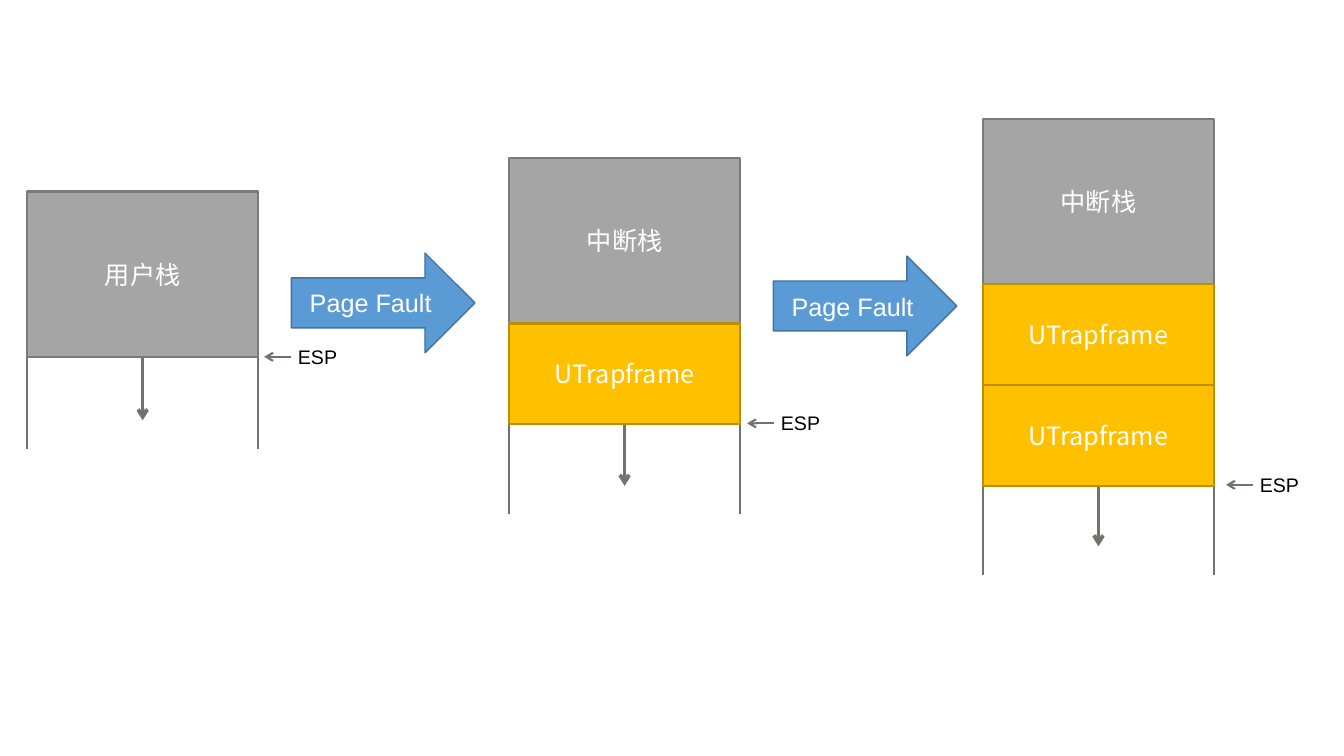
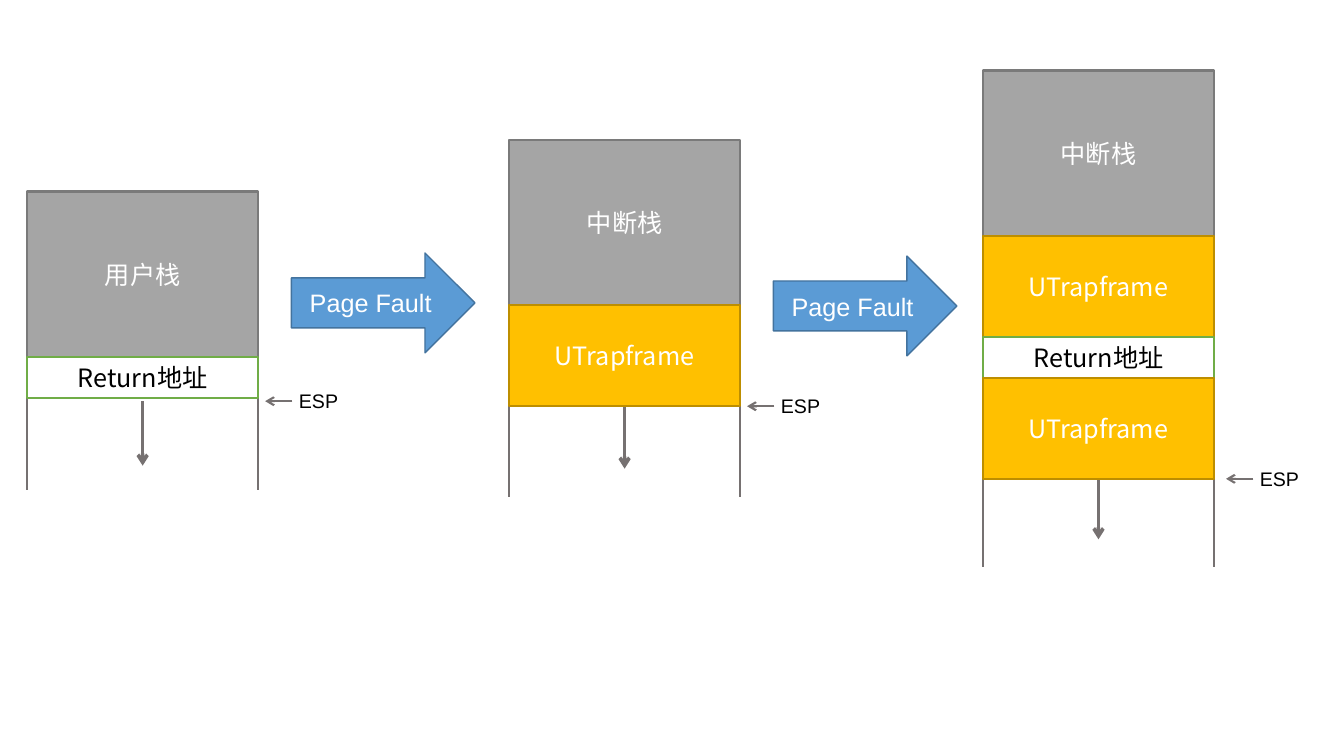
from collections import namedtuple

from lxml import etree
from pptx import Presentation
from pptx.dml.color import RGBColor
from pptx.enum.shapes import MSO_CONNECTOR, MSO_SHAPE
from pptx.enum.text import MSO_ANCHOR, MSO_AUTO_SIZE, PP_ALIGN
from pptx.oxml.ns import qn
from pptx.util import Inches, Pt

WHITE = RGBColor(0xFF, 0xFF, 0xFF)
BLACK = RGBColor(0x00, 0x00, 0x00)
GRAY = RGBColor(0xA5, 0xA5, 0xA5)
GRAY_EDGE = RGBColor(0x7A, 0x7A, 0x7A)
GOLD = RGBColor(0xFF, 0xC0, 0x00)
GOLD_EDGE = RGBColor(0xBD, 0x8E, 0x00)
GREEN_EDGE = RGBColor(0x70, 0xAD, 0x47)
BLUE = RGBColor(0x5B, 0x9B, 0xD5)
BLUE_EDGE = RGBColor(0x43, 0x73, 0x9E)
LINE = RGBColor(0x76, 0x71, 0x71)

CJK = "Noto Sans CJK SC"
LATIN = "Arial"

Block = namedtuple("Block", "text height fill edge color")
Stack = namedtuple("Stack", "left top blocks wall_shift arrow_shift esp_shift esp_gap")

USER = Block("用户栈", 1.64, GRAY, GRAY_EDGE, WHITE)
INTERRUPT = Block("中断栈", 1.64, GRAY, GRAY_EDGE, WHITE)
FRAME = Block("UTrapframe", 1.0, GOLD, GOLD_EDGE, WHITE)
RETURN = Block("Return地址", 0.41, WHITE, GREEN_EDGE, BLACK)

STACK_W = 2.29
WALL_H = 0.92
GROWTH_H = 0.64
ESP_ARROW_W = 0.27
ESP_W, ESP_H = 0.76, 0.34
FAULT_W, FAULT_H = 1.82, 0.99
FAULTS = [(2.89, 2.51), (7.67, 2.54)]

SLIDES = [
    [
        Stack(0.27, 1.9, [USER], -0.01, -0.01, 0, 0.06),
        Stack(5.05, 1.57, [INTERRUPT, FRAME], -0.03, -0.03, -0.01, 0.07),
        Stack(9.75, 1.18, [INTERRUPT, FRAME, FRAME], -0.04, -0.04, -0.01, 0.12),
    ],
    [
        Stack(0.27, 1.9, [USER, RETURN], -0.01, 0.03, 0.03, 0.07),
        Stack(5.05, 1.39, [INTERRUPT, FRAME], -0.02, -0.02, 0, 0.07),
        Stack(9.75, 0.7, [INTERRUPT, FRAME, RETURN, FRAME], -0.04, -0.04, 0, 0.12),
    ],
]


def set_text(s, text, size, font, color):
    tf = s.text_frame
    tf.word_wrap = True
    tf.text = text
    p = tf.paragraphs[0]
    p.alignment = PP_ALIGN.CENTER
    r = p.runs[0]
    r.font.size = Pt(size)
    r.font.name = font
    r.font.color.rgb = color
    etree.SubElement(r.font._element, qn("a:ea")).set("typeface", font)


def add_box(shapes, kind, box, text, font, fill, edge, weight, color):
    s = shapes.add_shape(kind, *map(Inches, box))
    s.shadow.inherit = False
    s.fill.solid()
    s.fill.fore_color.rgb = fill
    s.line.color.rgb = edge
    s.line.width = Pt(weight)
    set_text(s, text, 18, font, color)
    s.text_frame.vertical_anchor = MSO_ANCHOR.MIDDLE


def add_line(shapes, start, end, weight=1.5, arrow=False):
    c = shapes.add_connector(MSO_CONNECTOR.STRAIGHT, *map(Inches, start + end))
    c.line.color.rgb = LINE
    c.line.width = Pt(weight)
    if arrow:
        etree.SubElement(c.line._get_or_add_ln(), qn("a:tailEnd")).set("type", "arrow")
    etree.SubElement(c._element.spPr, qn("a:effectLst"))


def add_esp(shapes, x, y):
    group = shapes.add_group_shape().shapes
    start = x + ESP_ARROW_W
    box = (start - 0.12, y - ESP_H / 2, ESP_W, ESP_H)
    label = group.add_textbox(*map(Inches, box))
    set_text(label, "ESP", 14, LATIN, BLACK)
    label.text_frame.auto_size = MSO_AUTO_SIZE.SHAPE_TO_FIT_TEXT
    add_line(group, (start, y), (x, y), arrow=True)


def add_stack(shapes, stack):
    left, right = stack.left, stack.left + STACK_W
    bottom = stack.top + sum(b.height for b in stack.blocks)

    wall = bottom + stack.wall_shift
    for x in (left, right):
        add_line(shapes, (x, wall), (x, wall + WALL_H))
    center, growth = left + STACK_W / 2, bottom + stack.arrow_shift
    add_line(shapes, (center, growth), (center, growth + GROWTH_H), 2.5, True)

    y = stack.top
    for b in stack.blocks:
        add_box(shapes, MSO_SHAPE.RECTANGLE, (left, y, STACK_W, b.height),
                b.text, CJK, b.fill, b.edge, 1.5, b.color)
        y += b.height
    add_esp(shapes, right + stack.esp_gap, bottom + stack.esp_shift)


def main():
    prs = Presentation()
    prs.slide_width, prs.slide_height = Inches(13.33), Inches(7.5)
    for stacks in SLIDES:
        shapes = prs.slides.add_slide(prs.slide_layouts[6]).shapes
        for stack in stacks:
            add_stack(shapes, stack)
        for x, y in FAULTS:
            add_box(shapes, MSO_SHAPE.RIGHT_ARROW, (x, y, FAULT_W, FAULT_H),
                    "Page Fault", LATIN, BLUE, BLUE_EDGE, 1, WHITE)
    prs.save("out.pptx")


if __name__ == "__main__":
    main()
